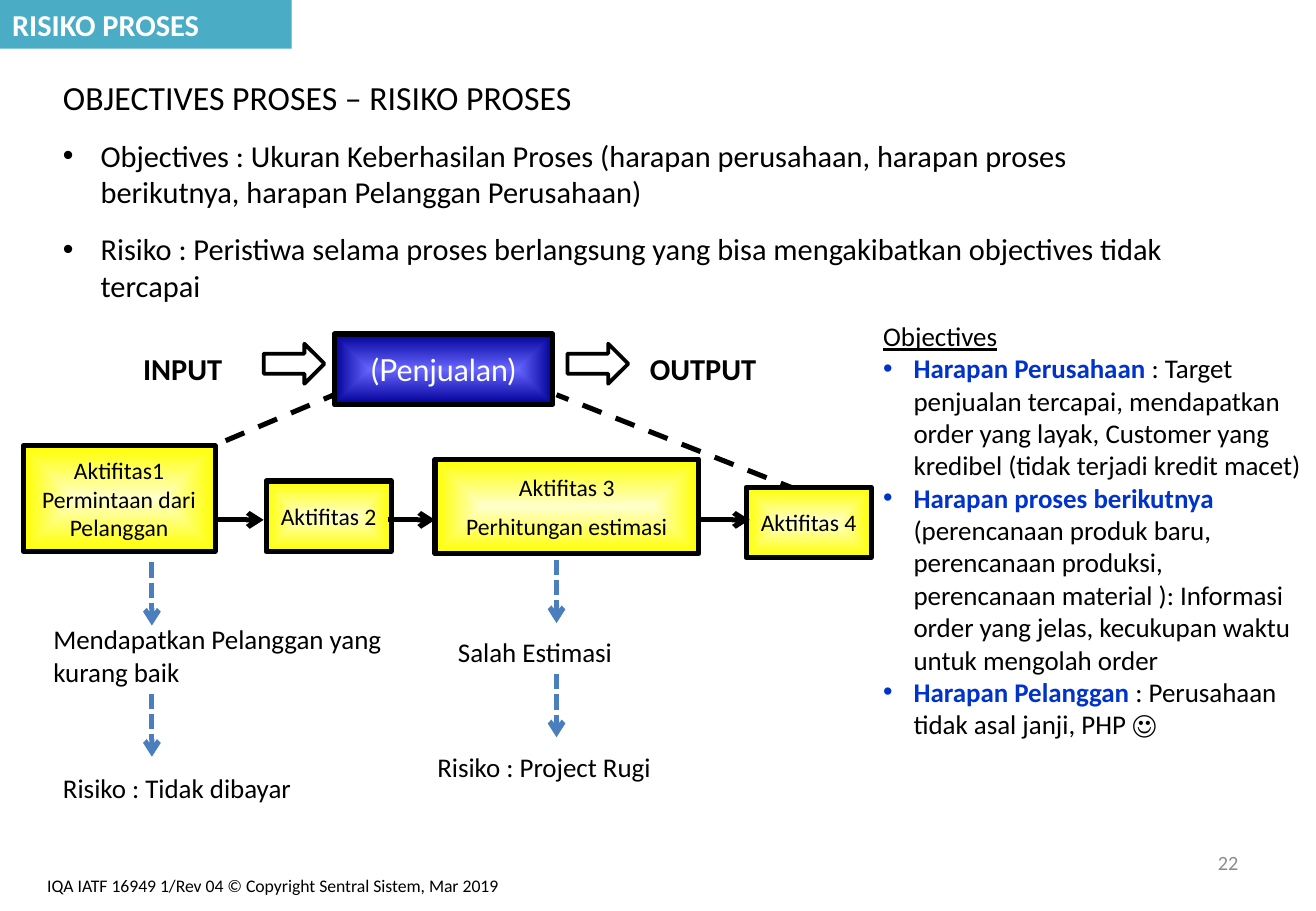
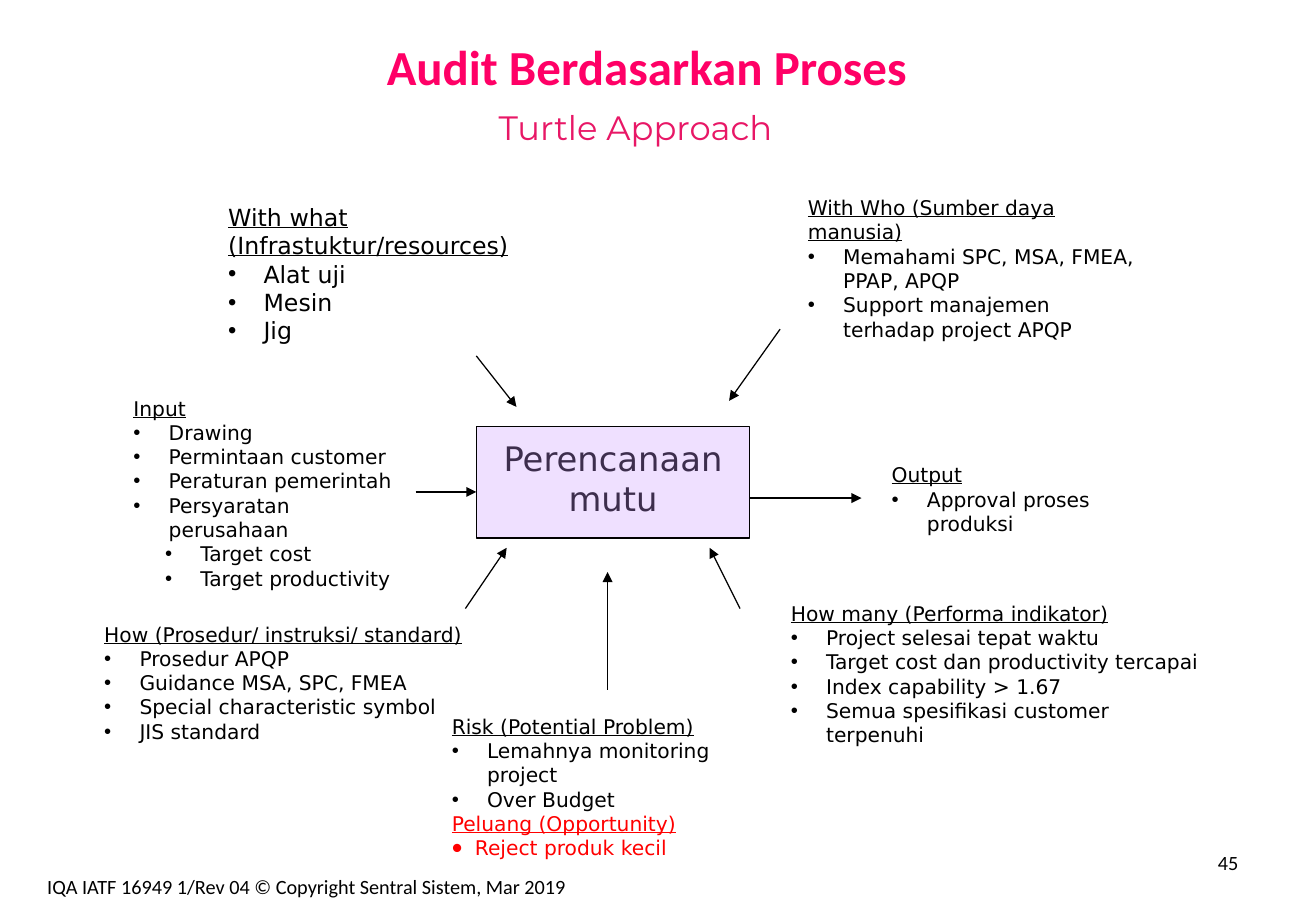
from lxml import etree
from pptx import Presentation
from pptx.dml.color import RGBColor
from pptx.enum.dml import MSO_LINE
from pptx.enum.shapes import MSO_CONNECTOR, MSO_SHAPE
from pptx.enum.text import MSO_ANCHOR, MSO_AUTO_SIZE, PP_ALIGN
from pptx.oxml.ns import qn
from pptx.util import Pt

PX = 9144  # 100 px to the inch
LEFT, CENTER, RIGHT = PP_ALIGN.LEFT, PP_ALIGN.CENTER, PP_ALIGN.RIGHT
TOP, MIDDLE = MSO_ANCHOR.TOP, MSO_ANCHOR.MIDDLE
DASH, SHORT_DASH = MSO_LINE.DASH, MSO_LINE.SQUARE_DOT
RECTANGLE, RIGHT_ARROW = MSO_SHAPE.RECTANGLE, MSO_SHAPE.RIGHT_ARROW
STRAIGHT = MSO_CONNECTOR.STRAIGHT
NO_AUTOFIT = MSO_AUTO_SIZE.NONE
TITLE_ONLY = 5


class Theme:
    body_font, process_font = "Calibri", "Lato"
    turtle_font, subtitle_font = "DejaVu Sans", "Montserrat"
    black, white, gray, red = "000000", "FFFFFF", "8C8C8C", "FF0000"
    band, emphasis, effect = "4BACC6", "0033CC", "4B7EBC"
    pink, subtitle = "FF0066", "E81766"
    lilac, plum = "EFE0FF", "3D2E4D"
    blue_glow = ("6666FF", "000099")
    yellow_glow = ("FFFFCC", "FFFF00")
    title, heading, body, note = 29, 20, 18, 16
    activity, turtle, page, footer = 14, 12, 12, 10.5
    thick, medium, thin = 3, 2.25, 0.75


def write(shape, text, size=Theme.body, color=Theme.black, font=Theme.body_font,
          bold=False, underline=False, align=LEFT, anchor=TOP, wrap=True,
          bullet=False, bullet_size=100, left=0, hang=0, before=0, after=0):
    """Add one paragraph; text is a string or a list of (text, color, bold)."""
    frame = shape.text_frame
    frame.word_wrap, frame.vertical_anchor = wrap, anchor
    frame.auto_size = NO_AUTOFIT
    first = not frame.text
    paragraph = frame.paragraphs[0] if first else frame.add_paragraph()
    paragraph.alignment = align
    paragraph.space_before = Pt(0 if first else before)
    paragraph.space_after = Pt(after)
    if bullet:
        properties = paragraph._p.get_or_add_pPr()
        properties.set("marL", str((left + hang) * PX))
        properties.set("indent", str(-hang * PX))
        etree.SubElement(properties, qn("a:buSzPct")).set("val", str(bullet_size * 1000))
        etree.SubElement(properties, qn("a:buFont")).set("typeface", "Arial")
        etree.SubElement(properties, qn("a:buChar")).set("char", "•")
    runs = [(text, color, bold)] if isinstance(text, str) else text
    for run_text, run_color, run_bold in runs:
        run = paragraph.add_run()
        run.text = run_text
        run.font.name, run.font.size = font, Pt(size)
        run.font.bold, run.font.underline = run_bold, underline
        run.font.color.rgb = RGBColor.from_string(run_color)


def draw_line(slide, points, color=Theme.black, width=Theme.thick, dash=None, head=None):
    line = slide.shapes.add_connector(STRAIGHT, *(value * PX for value in points))
    line.line.color.rgb = RGBColor.from_string(color)
    line.line.width = Pt(width)
    if dash:
        line.line.dash_style = dash
    if head:
        outline = line.line._get_or_add_ln()
        etree.SubElement(outline, qn("a:tailEnd")).set("type", head)
    etree.SubElement(line._element.spPr, qn("a:effectLst"))


presentation = Presentation()
presentation.slide_width, presentation.slide_height = 1083 * PX, 750 * PX
layout = presentation.slide_layouts[TITLE_ONLY]
risk_slide = presentation.slides.add_slide(layout)
turtle_slide = presentation.slides.add_slide(layout)

# Titles: a coloured band on the first slide, a centred line on the second
for slide, area, text, style in (
    (risk_slide, (0, 0, 240, 40), "RISIKO PROSES", dict(color=Theme.white)),
    (turtle_slide, (45, -8, 975, 125), "Audit Berdasarkan Proses",
     dict(color=Theme.pink, size=Theme.title, align=CENTER)),
):
    title = slide.shapes.title
    title.left, title.top, title.width, title.height = (value * PX for value in area)
    write(title, text, bold=True, anchor=MIDDLE, **style)
band = risk_slide.shapes.title
band.fill.solid()
band.fill.fore_color.rgb = RGBColor.from_string(Theme.band)

# Risk slide: introduction
introduction = risk_slide.shapes.add_textbox(*(value * PX for value in (42, 58, 950, 200)))
write(introduction, "OBJECTIVES PROSES – RISIKO PROSES", size=Theme.heading, after=6)
for text in (
    "Objectives : Ukuran Keberhasilan Proses (harapan perusahaan, harapan proses "
    "berikutnya, harapan Pelanggan Perusahaan)",
    "Risiko : Peristiwa selama proses berlangsung yang bisa mengakibatkan objectives "
    "tidak tercapai",
):
    write(introduction, text, bullet=True, hang=31, before=6, after=6)

# Risk slide: objectives column
objectives = risk_slide.shapes.add_textbox(*(value * PX for value in (717, 258, 367, 441)))
write(objectives, "Objectives", size=Theme.note, underline=True)
for topic, detail in (
    ("Harapan Perusahaan ", ": Target penjualan tercapai, mendapatkan order yang layak, "
     "Customer yang kredibel (tidak terjadi kredit macet)"),
    ("Harapan proses berikutnya ", "(perencanaan produk baru, perencanaan produksi, "
     "perencanaan material ): Informasi order yang jelas, kecukupan waktu untuk "
     "mengolah order"),
    ("Harapan Pelanggan ", ": Perusahaan tidak asal janji, PHP ☺"),
):
    write(objectives, [(topic, Theme.emphasis, True), (detail, Theme.black, False)],
          size=Theme.note, bullet=True, hang=25)

# Risk slide: dashed lines from the process to its activities
for points in ((105, 397, 275, 325), (658, 404, 458, 325)):
    draw_line(risk_slide, points, dash=DASH)

# Risk slide: process and activity boxes with a glow from the centre
process_style = dict(font=Theme.process_font, color=Theme.white)
activity_style = dict(size=Theme.activity, wrap=False)
for area, glow, lines, style in (
    ((275, 275, 180, 58), Theme.blue_glow, ["(Penjualan)"], process_style),
    ((19, 367, 158, 87), Theme.yellow_glow,
     ["Aktifitas1", "Permintaan dari", "Pelanggan"], activity_style),
    ((219, 396, 103, 58), Theme.yellow_glow, ["Aktifitas 2"], activity_style),
    ((358, 378, 217, 78), Theme.yellow_glow,
     ["Aktifitas 3", "Perhitungan estimasi"], dict(activity_style, before=6)),
    ((614, 401, 103, 58), Theme.yellow_glow, ["Aktifitas 4"], activity_style),
):
    box = risk_slide.shapes.add_shape(RECTANGLE, *(value * PX for value in area))
    box.shadow.inherit = False
    box.fill.gradient()
    for stop, color in zip(box.fill.gradient_stops, glow):
        stop.color.rgb = RGBColor.from_string(color)
    gradient = box._element.spPr.find(qn("a:gradFill"))
    gradient.remove(gradient.find(qn("a:lin")))
    glow_shape = etree.SubElement(gradient, qn("a:path"), {"path": "shape"})
    etree.SubElement(glow_shape, qn("a:fillToRect"), dict.fromkeys("ltrb", "50000"))
    box.line.color.rgb = RGBColor.from_string(Theme.black)
    box.line.width = Pt(Theme.thick)
    for text in lines:
        write(box, text, align=CENTER, anchor=MIDDLE, **style)

# Risk slide: arrows between activities and down to their effects
for start, end in ((177, 217), (319, 358), (577, 617)):
    draw_line(risk_slide, (start, 428, end, 428), head="arrow")
for x, top in ((458, 461), (458, 555), (125, 463), (125, 571)):
    draw_line(risk_slide, (x, top, x, top + 52), color=Theme.effect,
              dash=SHORT_DASH, head="arrow")

# Risk slide: block arrows
for left in (217, 467):
    arrow = risk_slide.shapes.add_shape(RIGHT_ARROW, left * PX, 283 * PX, 50 * PX, 33 * PX)
    arrow.shadow.inherit = False
    arrow.fill.background()
    arrow.line.color.rgb = RGBColor.from_string(Theme.black)
    arrow.line.width = Pt(Theme.medium)

# Risk slide: labels
effect_style = dict(size=Theme.note)
for area, text, style in (
    ((108, 283, 96, 40), "INPUT", dict(bold=True)),
    ((525, 283, 124, 40), "OUTPUT", dict(bold=True)),
    ((367, 518, 175, 37), "Salah Estimasi", effect_style),
    ((350, 613, 222, 37), "Risiko : Project Rugi", effect_style),
    ((34, 508, 308, 64), "Mendapatkan Pelanggan yang kurang baik", effect_style),
    ((42, 630, 244, 37), "Risiko : Tidak dibayar", effect_style),
):
    label = risk_slide.shapes.add_textbox(*(value * PX for value in area))
    write(label, text, **style)

# Turtle slide: subtitle and central process
subtitle = turtle_slide.shapes.add_textbox(*(value * PX for value in (388, 83, 270, 40)))
write(subtitle, "Turtle Approach", size=Theme.heading, font=Theme.subtitle_font,
      color=Theme.subtitle, align=CENTER, wrap=False)

core = turtle_slide.shapes.add_shape(RECTANGLE, *(value * PX for value in (392, 351, 225, 92)))
core.shadow.inherit = False
core.fill.solid()
core.fill.fore_color.rgb = RGBColor.from_string(Theme.lilac)
core.line.color.rgb = RGBColor.from_string(Theme.black)
core.line.width = Pt(Theme.thin)
core.text_frame.margin_top = 9 * PX
for text in ("Perencanaan", "mutu"):
    write(core, text, size=Theme.heading, font=Theme.turtle_font,
          color=Theme.plum, align=CENTER)

# Turtle slide: question blocks, each a heading with items and sub-items
for area, size, heading, items, sub_items in (
    ((100, 321, 245, 170), Theme.turtle, "Input",
     ["Drawing", "Permintaan customer", "Peraturan pemerintah", "Persyaratan perusahaan"],
     ["Target cost", "Target productivity"]),
    ((724, 376, 247, 50), Theme.turtle, "Output", ["Approval proses produksi"], []),
    ((655, 156, 295, 150), Theme.turtle, "With Who (Sumber daya manusia)",
     ["Memahami SPC, MSA, FMEA, PPAP, APQP", "Support manajemen terhadap project APQP"], []),
    ((178, 162, 298, 128), Theme.activity, "With what (Infrastuktur/resources)",
     ["Alat uji", "Mesin", "Jig"], []),
    ((76, 507, 324, 110), Theme.turtle, "How (Prosedur/ instruksi/ standard)",
     ["Prosedur APQP", "Guidance MSA, SPC, FMEA", "Special characteristic symbol",
      "JIS standard"], []),
    ((641, 490, 358, 131), Theme.turtle, "How many (Performa indikator)",
     ["Project selesai tepat waktu", "Target cost dan productivity tercapai",
      "Index capability > 1.67", "Semua spesifikasi customer terpenuhi"], []),
    ((362, 583, 277, 131), Theme.turtle, "Risk (Potential Problem)",
     ["Lemahnya monitoring project", "Over Budget"], []),
):
    block = turtle_slide.shapes.add_textbox(*(value * PX for value in area))
    write(block, heading, size=size, font=Theme.turtle_font, underline=True)
    for left, texts in ((0, items), (26, sub_items)):
        for text in texts:
            write(block, text, size=size, font=Theme.turtle_font,
                  bullet=True, left=left, hang=29)

# The risk block comes last and also holds the opportunity
opportunity_style = dict(size=Theme.turtle, font=Theme.turtle_font, color=Theme.red)
write(block, "Peluang (Opportunity)", underline=True, **opportunity_style)
write(block, "Reject produk kecil", bullet=True, bullet_size=150, hang=19,
      **opportunity_style)

# Turtle slide: arrows around the process
for points in (
    (617, 410, 709, 410), (342, 405, 392, 405), (383, 501, 417, 451), (609, 501, 584, 451),
    (392, 293, 425, 335), (642, 271, 600, 330), (500, 568, 500, 471),
):
    draw_line(turtle_slide, points, width=Theme.thin, head="triangle")

# Page numbers and footers
for slide, number, number_color, footer_size in (
    (risk_slide, "22", Theme.gray, Theme.footer),
    (turtle_slide, "45", Theme.black, Theme.page),
):
    page = slide.shapes.add_textbox(*(value * PX for value in (776, 695, 253, 40)))
    write(page, number, size=Theme.page, color=number_color, align=RIGHT)
    footer = slide.shapes.add_textbox(*(value * PX for value in (29, 715, 599, 35)))
    write(footer, "IQA IATF 16949 1/Rev 04 © Copyright Sentral Sistem, Mar 2019",
          size=footer_size)

presentation.save("out.pptx")
